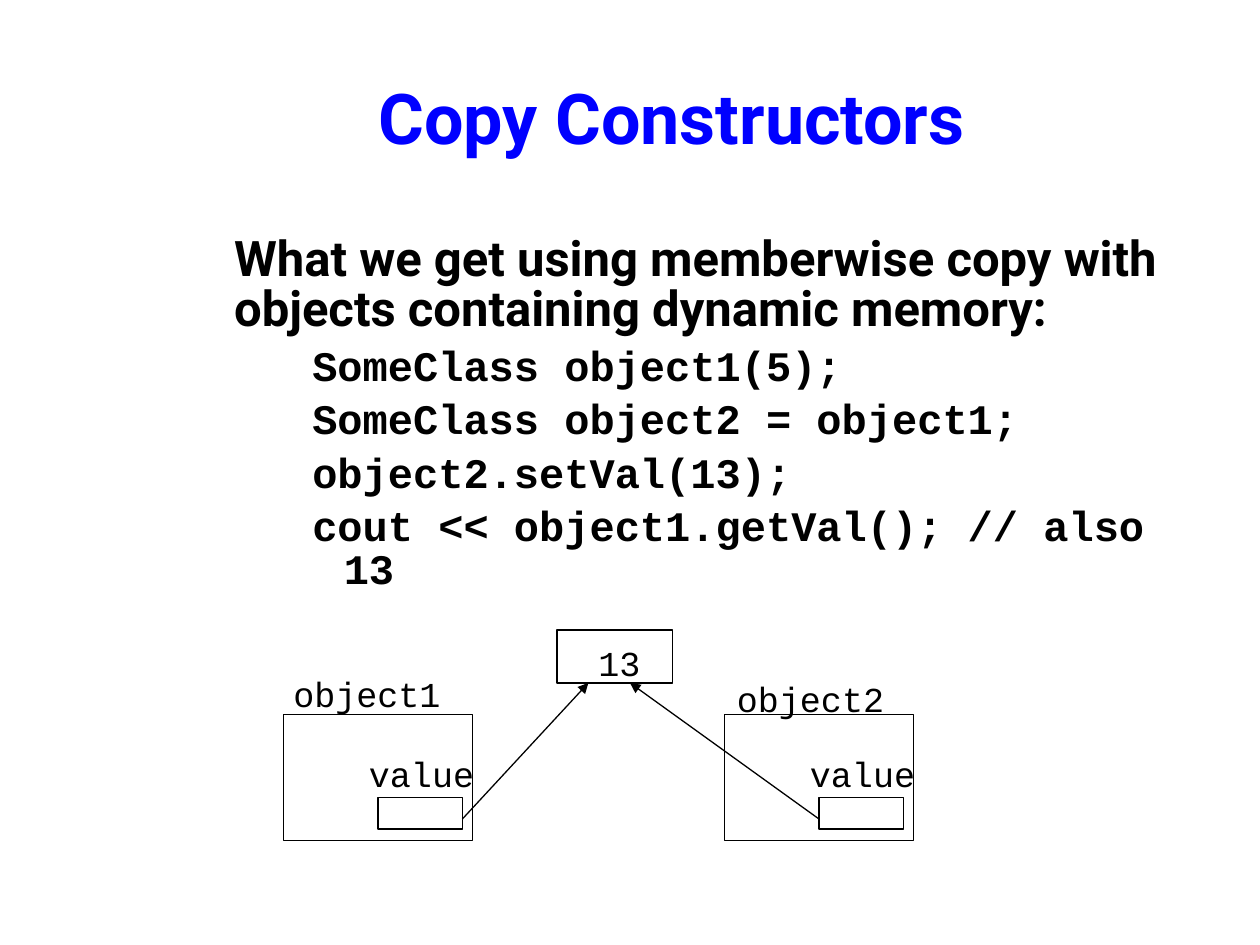
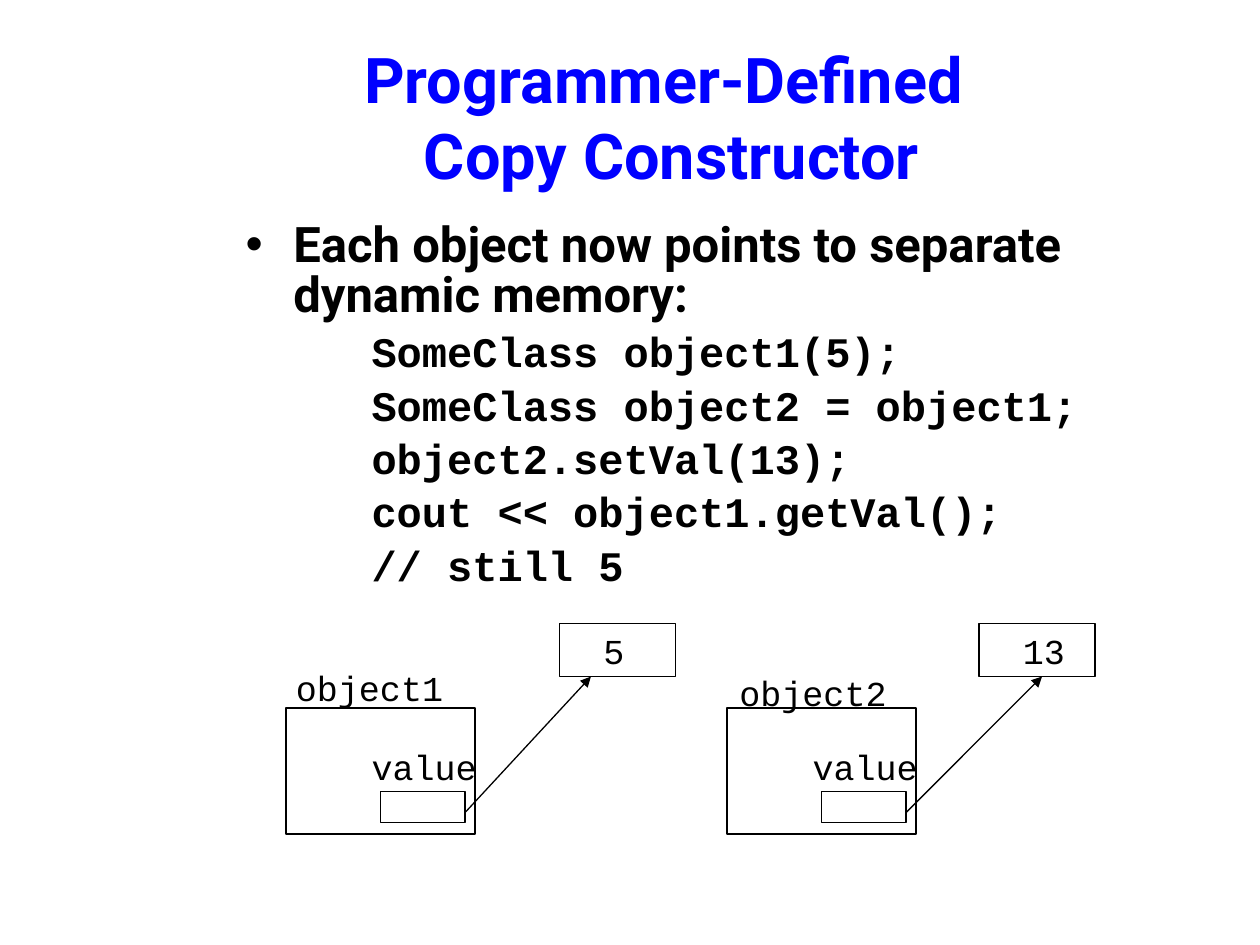
from lxml import etree
from pptx import Presentation
from pptx import util as u
from pptx.dml.color import RGBColor
from pptx.enum import shapes, text
from pptx.oxml.ns import qn

BLUE, BLACK = "0000FF", "000000"
SANS, MONO = "Roboto", "Courier New"


def rgb(value):
    return RGBColor.from_string(value)


def add_text(s, x, y, w, h, paras, wrap=True):
    """Each paragraph is (text, font name, size, bold, colour)."""
    tf = s.shapes.add_textbox(u.Inches(x), u.Inches(y), u.Inches(w), u.Inches(h)).text_frame
    tf.word_wrap = wrap
    for i, (line, name, size, bold, color) in enumerate(paras):
        p = tf.add_paragraph() if i else tf.paragraphs[0]
        p.text = line
        for r in p.runs:
            r.font.name, r.font.size, r.font.bold = name, u.Pt(size), bold
            r.font.color.rgb = rgb(color)
    return tf


CODE = ["SomeClass object1(5);", "SomeClass object2 = object1;", "object2.setVal(13);"]

# Memory cells: box x, number, number x, number y; arrows: start x, end x
slides = [
    dict(title="Copy Constructors", title_size=40, body=(1.38, 1.83, 8.39, 4.08), bullet=False,
         lead="What we get using memberwise copy with objects containing dynamic memory:",
         code=CODE + ["cout << object1.getVal(); // also 13"],
         shift=(0, 0), cells=[(4.42, "13", 4.65, 5.04)],
         arrows=[(3.67, 4.67), (6.5, 5)]),
    dict(title="Programmer-Defined \vCopy Constructor", title_size=36,
         body=(1.85, 1.72, 8.15, 3.86), bullet=True,
         lead="Each object now points to separate dynamic memory:",
         code=CODE + ["cout << object1.getVal();", "// still 5"],
         shift=(0.02, -0.05), cells=[(4.42, "5", 4.67, 5), (7.75, "13", 8, 5)],
         arrows=[(3.67, 4.67), (7.17, 8.25)]),
]

prs = Presentation()
prs.slide_width, prs.slide_height = u.Inches(10), u.Inches(7.5)

for d in slides:
    s = prs.slides.add_slide(prs.slide_layouts[6])

    # Title
    tf = add_text(s, 0.83, 0.3, 9, 1.25, [(d["title"], SANS, d["title_size"], True, BLUE)])
    tf.vertical_anchor = text.MSO_ANCHOR.MIDDLE
    tf.paragraphs[0].alignment = text.PP_ALIGN.CENTER

    # Lead sentence and code
    paras = [(d["lead"], SANS, 28, True, BLACK)]
    paras += [(line, MONO, 24, True, BLACK) for line in d["code"]]
    tf = add_text(s, *d["body"], paras)
    for i, p in enumerate(tf.paragraphs):
        p.line_spacing = 0.85
        p.space_before = u.Pt(6 if i else 0)
        p.level = 1 if i else 0
        left, indent = (1.25, -0.25) if i else (0.38, -0.38 if d["bullet"] else 0)
        pPr = p._p.get_or_add_pPr()
        pPr.set("marL", str(u.Inches(left)))
        pPr.set("indent", str(u.Inches(indent)))
        if d["bullet"] and i == 0:
            etree.SubElement(pPr, qn("a:buFont")).set("typeface", "Arial")
            etree.SubElement(pPr, qn("a:buChar")).set("char", "•")
        else:
            etree.SubElement(pPr, qn("a:buNone"))

    # Object boxes, their value fields and the memory cells
    dx, dy = d["shift"]
    boxes = [(x, 5.67, 1.5, 1) for x in (2.25, 5.75)]
    boxes += [(x + 0.75, 6.33, 0.67, 0.25) for x in (2.25, 5.75)]
    boxes += [(cell[0], 5, 0.92, 0.42) for cell in d["cells"]]
    for x, y, w, h in boxes:
        sp = s.shapes.add_shape(shapes.MSO_SHAPE.RECTANGLE, u.Inches(x + dx), u.Inches(y + dy),
                                u.Inches(w), u.Inches(h))
        sp.shadow.inherit = False
        sp.fill.background()
        sp.line.color.rgb = rgb(BLACK)
        sp.line.width = u.Pt(0.75)

    # Labels, as wide as their monospaced text
    labels = [("object1", 2.23, 5.29), ("object2", 5.75, 5.33),
              ("value", 2.83, 5.92), ("value", 6.33, 5.92)]
    labels += [cell[1:] for cell in d["cells"]]
    for label, x, y in labels:
        add_text(s, x + dx, y + dy, 0.2 + len(label) / 6, 0.44,
                 [(label, MONO, 20, False, BLACK)], wrap=False)

    # Pointers from value fields to memory cells
    for x1, x2 in d["arrows"]:
        c = s.shapes.add_connector(shapes.MSO_CONNECTOR.STRAIGHT,
                                   u.Inches(x1 + dx), u.Inches(6.5 + dy),
                                   u.Inches(x2 + dx), u.Inches(5.42 + dy))
        c.line.color.rgb = rgb(BLACK)
        c.line.width = u.Pt(0.75)
        etree.SubElement(c.line._get_or_add_ln(), qn("a:tailEnd")).set("type", "triangle")
        etree.SubElement(c._element.spPr, qn("a:effectLst"))

prs.save("out.pptx")
